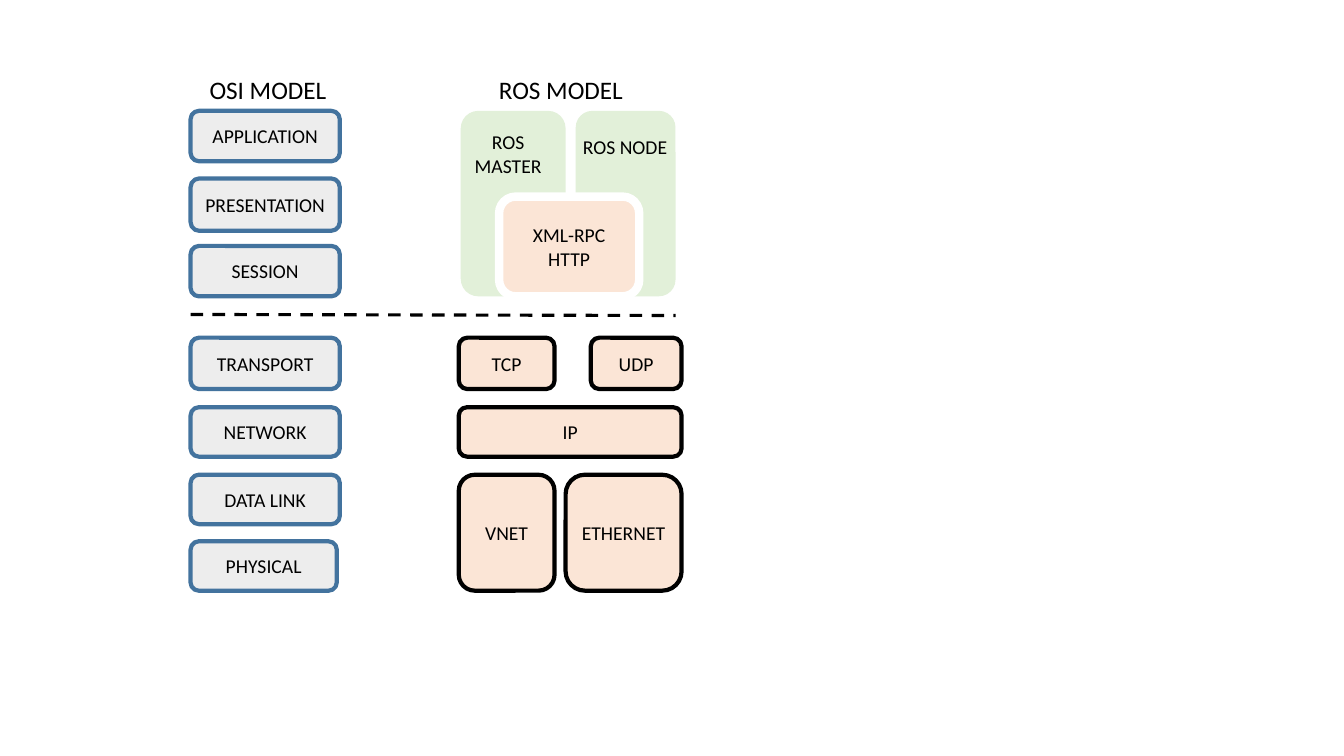
from pptx import Presentation
from pptx.dml.color import RGBColor
from pptx.enum.dml import MSO_LINE
from pptx.enum.shapes import MSO_CONNECTOR, MSO_SHAPE
from pptx.enum.text import MSO_ANCHOR, PP_ALIGN
from pptx.util import Pt
from lxml import etree

PX = 9144  # 100 px to the inch
ROUND = MSO_SHAPE.ROUNDED_RECTANGLE
STRAIGHT = MSO_CONNECTOR.STRAIGHT
DASH = MSO_LINE.DASH
MIDDLE, TOP = MSO_ANCHOR.MIDDLE, MSO_ANCHOR.TOP
CENTER, LEFT = PP_ALIGN.CENTER, PP_ALIGN.LEFT
COLORS = {
    "gray": "EDEDED", "blue": "43739E", "peach": "FBE5D6",
    "green": "E2F0D9", "black": "000000", "white": "FFFFFF",
}
RGB = {name: RGBColor.from_string(value) for name, value in COLORS.items()}

prs = Presentation()
prs.slide_width, prs.slide_height = 1333 * PX, 750 * PX
s = prs.slides.add_slide(prs.slide_layouts[6])


def write(sp, text, size=14, align=CENTER, anchor=MIDDLE, wrap=True):
    tf = sp.text_frame
    tf.word_wrap, tf.vertical_anchor = wrap, anchor
    for i, line in enumerate(text.split("\n")):
        p = tf.paragraphs[0] if i == 0 else tf.add_paragraph()
        p.alignment = align
        r = p.add_run()
        r.text = line
        for name, value in {"name": "Calibri", "size": Pt(size)}.items():
            setattr(r.font, name, value)
        r.font.color.rgb = RGB["black"]


def box(text, x, y, w, h, fill, line=None, width=3):
    sp = s.shapes.add_shape(ROUND, x * PX, y * PX, w * PX, h * PX)
    sp.shadow.inherit = False
    sp.fill.solid()
    sp.fill.fore_color.rgb = RGB[fill]
    if line:
        sp.line.color.rgb = RGB[line]
        sp.line.width = Pt(width)
    else:
        sp.line.fill.background()
    if text:
        sp.text_frame.margin_left = sp.text_frame.margin_right = 0
        write(sp, text)


# OSI layers
for text, y, w, h in [
    ("APPLICATION", 110, 148, 50),
    ("PRESENTATION", 177, 148, 52),
    ("SESSION", 244, 148, 50),
    ("TRANSPORT", 335, 148, 51),
    ("NETWORK", 404, 148, 49),
    ("DATA LINK", 471, 148, 49),
    ("PHYSICAL", 537, 145, 49),
]:
    box(text, 189, y, w, h, "gray", "blue")

# ROS lower layers
for text, x, y, w, h in [
    ("TCP", 455, 335, 95, 51),
    ("UDP", 586, 335, 90, 51),
    ("IP", 455, 404, 221, 49),
    ("VNET", 455, 471, 95, 115),
    ("ETHERNET", 561, 471, 115, 115),
]:
    box(text, x, y, w, h, "peach", "black")

# ROS upper layers
for x, w in [(571, 99), (457, 104)]:
    box("", x, 110, w, 184, "green")
box("XML-RPC\nHTTP", 495, 195, 139, 99, "peach", "white", 6)

# Headings and labels
for text, x, y, w, h, size, align, wrap in [
    ("OSI MODEL", 198, 69, 136, 40, 18, LEFT, True),
    ("ROS MODEL", 485, 69, 170, 40, 18, LEFT, True),
    ("ROS MASTER", 457, 124, 94, 57, 14, CENTER, True),
    ("ROS NODE", 568, 129, 104, 34, 14, CENTER, False),
]:
    sp = s.shapes.add_textbox(x * PX, y * PX, w * PX, h * PX)
    write(sp, text, size, align, TOP, wrap)

# Divider between upper and lower layers
divider = s.shapes.add_connector(STRAIGHT, 189 * PX, 312 * PX, 670 * PX, 313 * PX)
for name, value in {"width": Pt(2.25), "dash_style": DASH}.items():
    setattr(divider.line, name, value)
divider.line.color.rgb = RGB["black"]
etree.SubElement(
    divider._element.spPr,
    "{http://schemas.openxmlformats.org/drawingml/2006/main}effectLst",
)

prs.save("out.pptx")
